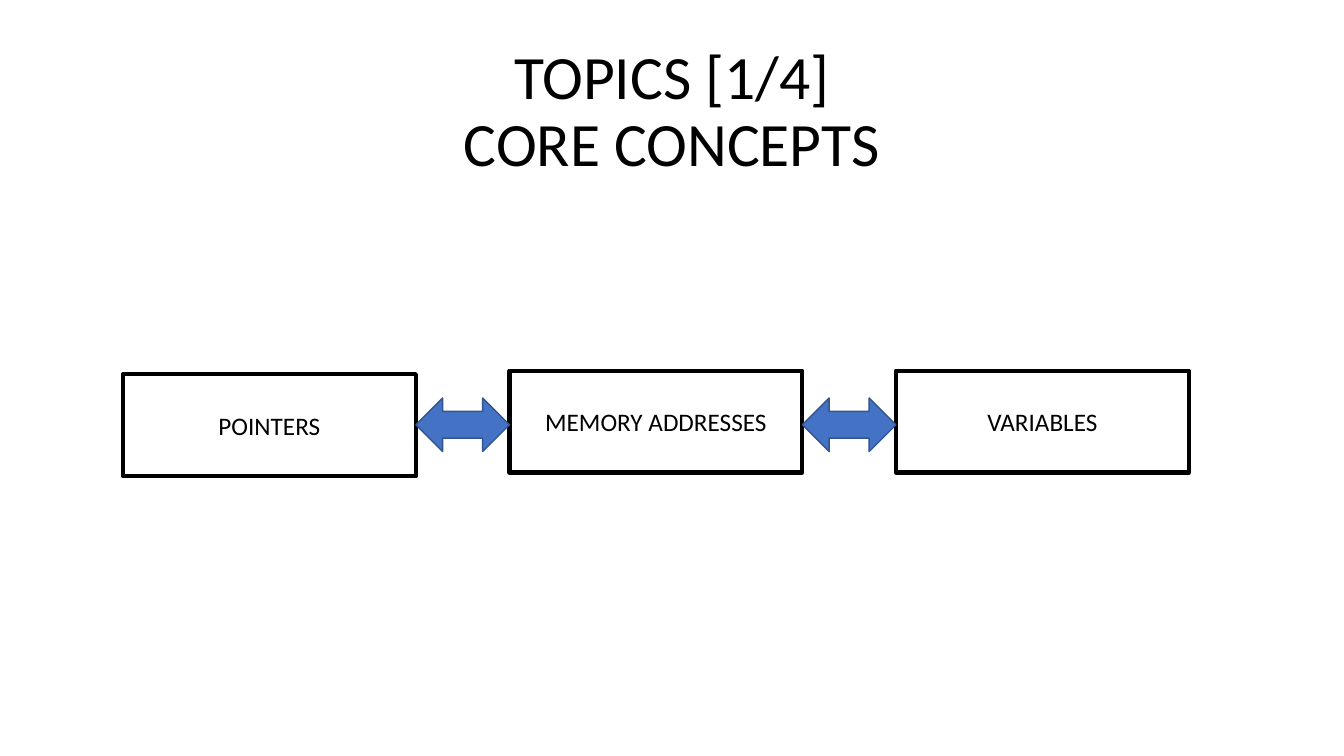
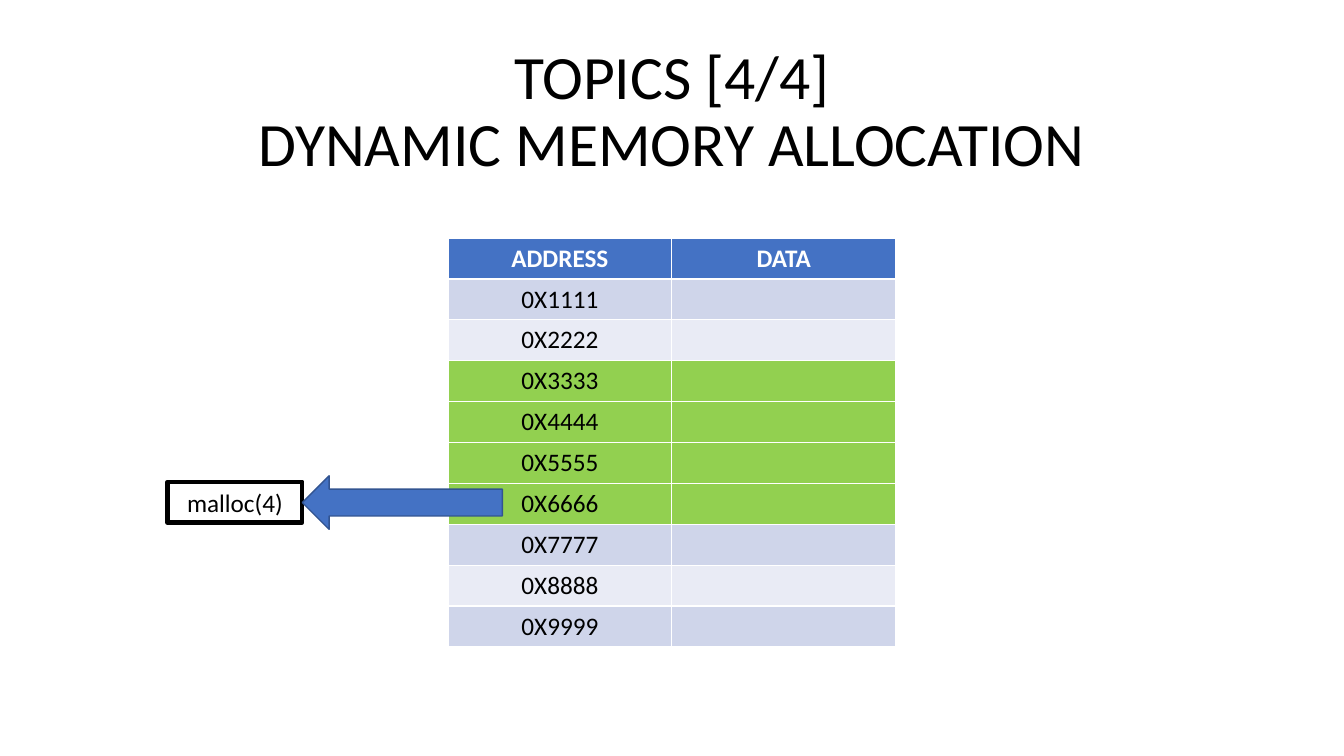
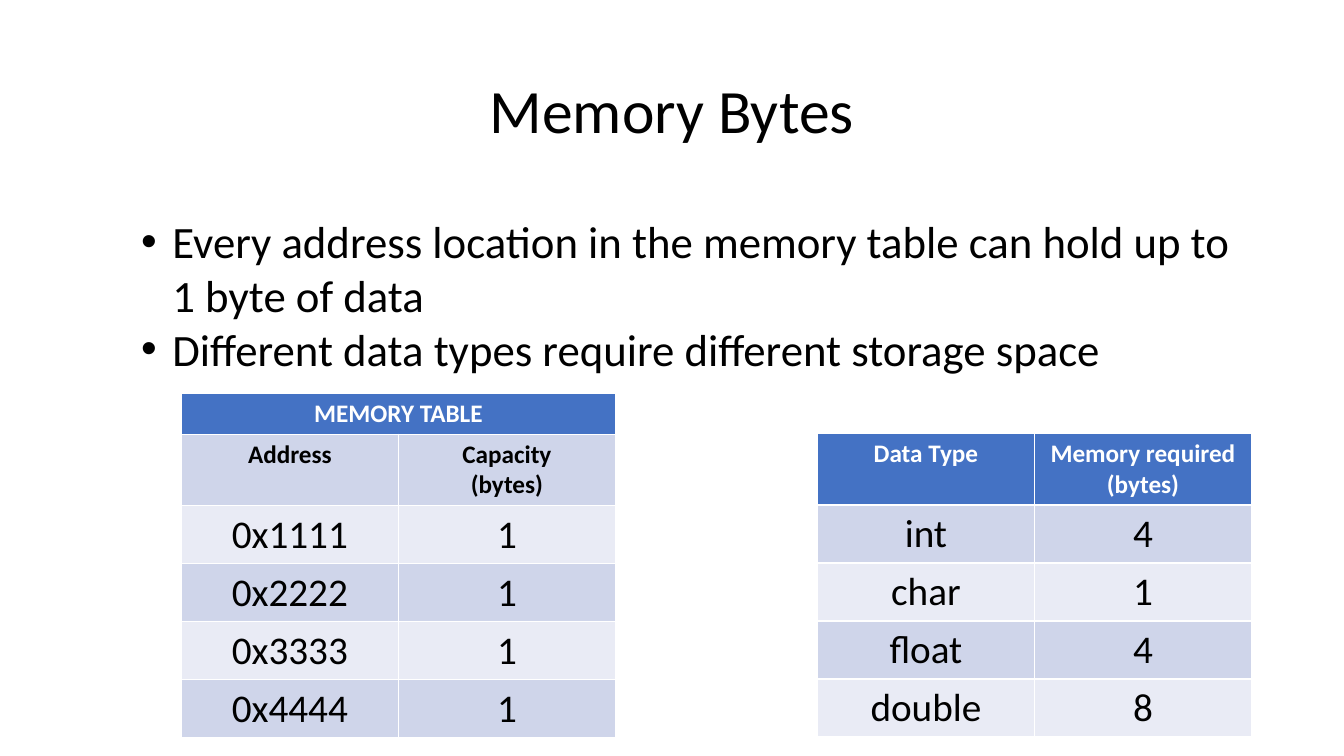
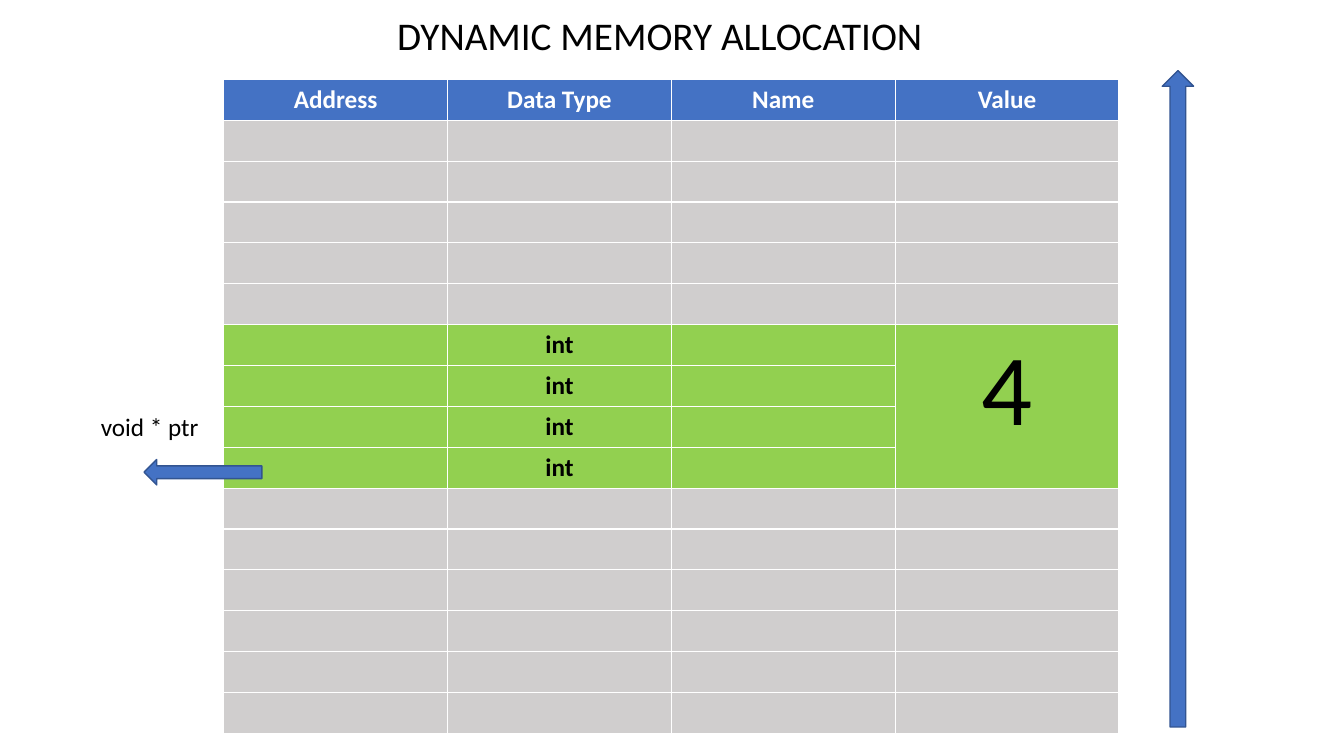
from dataclasses import dataclass, replace

from pptx import Presentation
from pptx.dml.color import RGBColor
from pptx.enum.shapes import MSO_SHAPE
from pptx.enum.text import MSO_ANCHOR, MSO_AUTO_SIZE, PP_ALIGN
from pptx.util import Cm, Pt

RECTANGLE = MSO_SHAPE.RECTANGLE
LEFT_ARROW = MSO_SHAPE.LEFT_ARROW
UP_ARROW = MSO_SHAPE.UP_ARROW
TWO_WAY_ARROW = MSO_SHAPE.LEFT_RIGHT_ARROW
MIDDLE = MSO_ANCHOR.MIDDLE
NO_AUTOFIT = MSO_AUTO_SIZE.NONE
CENTER = PP_ALIGN.CENTER
LEFT = PP_ALIGN.LEFT

FONT = "Calibri"
COLORS = {
    "text": "000000",
    "header_text": "FFFFFF",
    "accent": "4472C4",
    "accent_line": "325491",
    "band_dark": "CFD5EA",
    "band_light": "E9EBF5",
    "allocated": "92D050",
    "free": "D0CECE",
}
BANDS = ("band_dark", "band_light")
ROW_HEIGHT = 1.03


@dataclass(frozen=True)
class RowStyle:
    """Look of one table row, with its height in centimetres."""

    fill: str
    height: float = ROW_HEIGHT
    size: int = 18
    bold: bool = False
    color: str = "text"


HEADER = RowStyle("accent", bold=True, color="header_text")


def rgb(name):
    """Return the named colour."""
    return RGBColor.from_string(COLORS[name])


class Page:
    """Holds the deck, its style and the slide being built."""

    def __init__(self):
        """Start an empty widescreen deck."""
        self.deck = Presentation()
        self.deck.slide_width, self.deck.slide_height = Cm(33.87), Cm(19.05)
        self.slide = None

    def start(self, *title_lines, layout=5, area=(2.33, 1.01, 29.21, 3.68), size=44):
        """Add a slide and fill its title placeholder."""
        self.slide = self.deck.slides.add_slide(self.deck.slide_layouts[layout])
        title = self.slide.shapes.title
        self.place(title, area)
        title.text_frame.vertical_anchor = MIDDLE
        para = title.text_frame.paragraphs[0]
        for number, line in enumerate(title_lines):
            if number:
                para.add_line_break()
            para.add_run().text = line
        para.line_spacing = 0.9
        self.style(para, size)

    def place(self, box, area):
        """Move a placeholder to an area in centimetres and stop it resizing text."""
        box.left, box.top, box.width, box.height = map(Cm, area)
        box.text_frame.auto_size = NO_AUTOFIT

    def style(self, para, size=18, align=CENTER, bold=False, color="text"):
        """Set the font and alignment of a paragraph."""
        para.alignment = align
        para.font.name, para.font.size, para.font.bold = FONT, Pt(size), bold
        para.font.color.rgb = rgb(color)

    def bullets(self, area, lines):
        """Fill the body placeholder with a bulleted list."""
        body = self.slide.placeholders[1]
        self.place(body, area)
        body.text_frame.text = "\n".join(lines)
        for para in body.text_frame.paragraphs:
            self.style(para, 32, LEFT)
            para.space_before = Pt(0)
            properties = para._p.get_or_add_pPr()
            properties.set("marL", str(Cm(0.79)))
            properties.set("indent", str(-Cm(0.79)))

    def shape(self, kind, area, line_color, line_width):
        """Add a preset shape without a shadow."""
        shape = self.slide.shapes.add_shape(kind, *map(Cm, area))
        shape.shadow.inherit = False
        shape.line.color.rgb = rgb(line_color)
        shape.line.width = Pt(line_width)
        return shape

    def box(self, text, area):
        """Add an outlined rectangle with centred text."""
        box = self.shape(RECTANGLE, area, "text", 3)
        box.fill.background()
        box.text_frame.text = text
        box.text_frame.vertical_anchor = MIDDLE
        self.style(box.text_frame.paragraphs[0])

    def arrow(self, kind, area):
        """Add a filled block arrow."""
        arrow = self.shape(kind, area, "accent_line", 1)
        arrow.fill.solid()
        arrow.fill.fore_color.rgb = rgb("accent")

    def label(self, text, area):
        """Add a one-line text box."""
        label = self.slide.shapes.add_textbox(*map(Cm, area))
        label.text_frame.word_wrap = False
        label.text_frame.text = text
        self.style(label.text_frame.paragraphs[0], align=LEFT)

    def cell(self, cell, text, look):
        """Fill one table cell and set its text."""
        cell.fill.solid()
        cell.fill.fore_color.rgb = rgb(look.fill)
        cell.text = text
        for para in cell.text_frame.paragraphs:
            self.style(para, look.size, bold=look.bold, color=look.color)

    def table(self, left, top, column_width, rows):
        """Add a table from pairs of cell texts and row style."""
        count = len(rows[0][0])
        height = sum(look.height for _, look in rows)
        area = map(Cm, (left, top, column_width * count, height))
        table = self.slide.shapes.add_table(len(rows), count, *area).table
        for column in table.columns:
            column.width = Cm(column_width)
        for row, (texts, look) in zip(table.rows, rows):
            row.height = Cm(look.height)
            for cell, text in zip(row.cells, texts):
                self.cell(cell, text, look)
        return table


def core_concepts(page):
    """Build the chain of concepts."""
    page.start("TOPICS [1/4]", "CORE CONCEPTS")
    left, width, gap = 3.1, 7.38, 2.36
    step = width + gap
    concepts = (("POINTERS", 9.43), ("MEMORY ADDRESSES", 9.34), ("VARIABLES", 9.34))
    for number, (text, top) in enumerate(concepts):
        page.box(text, (left + number * step, top, width, 2.57))
    for number in range(len(concepts) - 1):
        page.arrow(TWO_WAY_ARROW, (left + width + number * step, 10.03, gap, 1.35))


def allocation_topic(page):
    """Build the address table with the block that malloc reserves."""
    page.start("TOPICS [4/4]", "DYNAMIC MEMORY ALLOCATION")
    rows = [(("ADDRESS", "DATA"), HEADER)]
    for digit in range(1, 10):
        fill = "allocated" if 3 <= digit <= 6 else BANDS[(digit - 1) % 2]
        rows.append(((f"0X{str(digit) * 4}", ""), RowStyle(fill)))
    page.table(11.29, 6, 5.64, rows)
    page.box("malloc(4)", (4.22, 12.14, 3.4, 1.03))
    page.arrow(LEFT_ARROW, (7.62, 11.99, 5.04, 1.35))


def memory_bytes(page):
    """Build the list and the tables of capacity and type sizes."""
    page.start("Memory Bytes", layout=1)
    page.bullets((3.3, 5.26, 28.23, 4.37), (
        "Every address location in the memory table can hold up to 1 byte of data",
        "Different data types require different storage space",
    ))
    types = [(("Data Type", "Memory required (bytes)"), replace(HEADER, height=1.78))]
    for number, texts in enumerate((("int", "4"), ("char", "1"), ("float", "4"), ("double", "8"))):
        types.append((texts, RowStyle(BANDS[number % 2], 1.46, 28)))
    page.table(20.6, 10.92, 5.47, types)

    memory = [
        (("MEMORY TABLE", ""), replace(HEADER, height=1)),
        (("Address", "Capacity\n(bytes)"), RowStyle("band_dark", 1.78, bold=True)),
    ]
    for digit in range(1, 5):
        memory.append(((f"0x{str(digit) * 4}", "1"), RowStyle(BANDS[digit % 2], 1.44, 28)))
    table = page.table(4.57, 9.91, 5.47, memory)
    table.cell(0, 0).merge(table.cell(0, 1))


def allocation_table(page):
    """Build the full memory table with one allocated integer."""
    page.start("DYNAMIC MEMORY ALLOCATION", area=(8.51, 0, 16.23, 1.9), size=28)
    first, last = 6, 9
    rows = [(("Address", "Data Type", "Name", "Value"), HEADER)]
    for number in range(1, 16):
        if first <= number <= last:
            rows.append((("", "int", "", ""), RowStyle("allocated", bold=True)))
        else:
            rows.append((("",) * 4, RowStyle("free")))
    table = page.table(5.64, 2, 5.64, rows)
    value = table.cell(first, 3)
    value.merge(table.cell(last, 3))
    page.cell(value, "4", RowStyle("allocated", size=72))
    page.arrow(LEFT_ARROW, (3.63, 11.58, 2.97, 0.64))
    page.label("void * ptr", (2.29, 10.24, 3, 1.03))
    page.arrow(UP_ARROW, (29.29, 1.78, 0.79, 16.54))


def main():
    """Build the deck and save it."""
    page = Page()
    for build in (core_concepts, allocation_topic, memory_bytes, allocation_table):
        build(page)
    page.deck.save("out.pptx")


if __name__ == "__main__":
    main()
